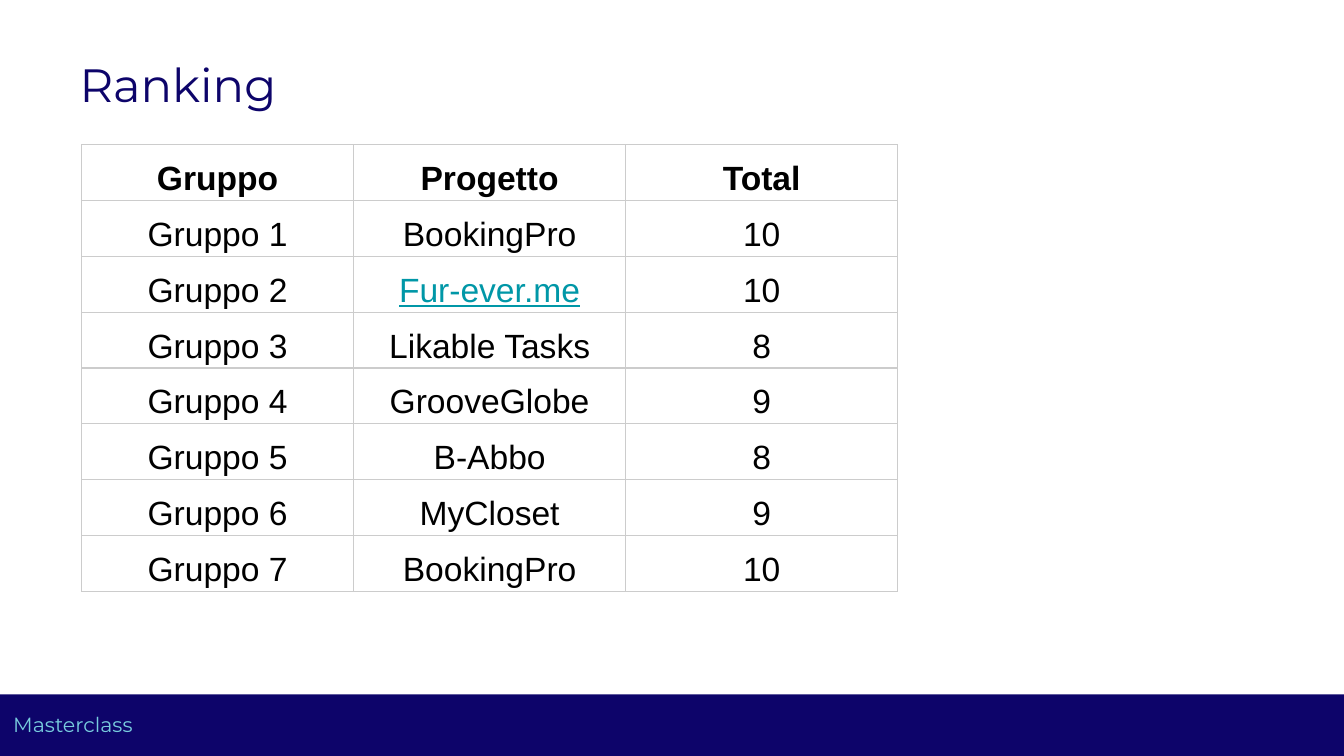
from lxml import etree
from pptx import Presentation
from pptx import util as u
from pptx.dml.color import RGBColor
from pptx.enum import shapes, text
from pptx.oxml.ns import qn

Pt = u.Pt
NAVY = RGBColor(0x0D, 0x04, 0x6A)
SKY = RGBColor(0x78, 0xCC, 0xDE)
TEAL = RGBColor(0x00, 0x97, 0xA7)
BLACK = RGBColor(0, 0, 0)
GREY = RGBColor(0xCC, 0xCC, 0xCC)

HEADER = ("Gruppo", "Progetto", "Total")
RANKING = [
    ("BookingPro", 10),
    ("Fur-ever.me", 10),
    ("Likable Tasks", 8),
    ("GrooveGlobe", 9),
    ("B-Abbo", 8),
    ("MyCloset", 9),
    ("BookingPro", 10),
]
LINK = "Fur-ever.me"


class Deck:
    display = "Montserrat"
    body = "Arial"
    inset = Pt(7.2)

    def __init__(self, width, height):
        self.prs = Presentation()
        self.prs.slide_width, self.prs.slide_height = Pt(width), Pt(height)
        self.s = self.prs.slides.add_slide(self.prs.slide_layouts[5])

    def run(self, p, words, font, size, color, bold=False, underline=False):
        r = p.add_run()
        r.text = words
        f = r.font
        f.name, f.size, f.bold, f.underline = font, Pt(size), bold, underline
        f.color.rgb = color

    def frame(self, sp):
        """Give a text shape its insets and top anchor; return its first paragraph."""
        tf = sp.text_frame
        tf.word_wrap = True
        tf.auto_size = text.MSO_AUTO_SIZE.NONE
        tf.vertical_anchor = text.MSO_ANCHOR.TOP
        tf.margin_left = tf.margin_right = self.inset
        tf.margin_top = tf.margin_bottom = self.inset
        p = tf.paragraphs[0]
        p.alignment = text.PP_ALIGN.LEFT
        return p

    def title(self, words, x, y, w, h):
        sp = self.s.shapes.title
        sp.left, sp.top, sp.width, sp.height = Pt(x), Pt(y), Pt(w), Pt(h)
        p = self.frame(sp)
        p.line_spacing = 1.15
        p.space_before, p.space_after = Pt(0), Pt(16)
        self.run(p, words, self.display, 25, NAVY)

    def bar(self, x, y, w, h):
        sp = self.s.shapes.add_shape(
            shapes.MSO_SHAPE.RECTANGLE, Pt(x), Pt(y), Pt(w), Pt(h))
        sp.shadow.inherit = False
        sp.fill.solid()
        sp.fill.fore_color.rgb = NAVY
        sp.line.fill.background()

    def label(self, words, x, y, w, h):
        sp = self.s.shapes.add_textbox(Pt(x), Pt(y), Pt(w), Pt(h))
        self.run(self.frame(sp), words, self.display, 11, SKY)

    def borders(self, cell):
        tc_pr = cell._tc.get_or_add_tcPr()
        for i, side in enumerate(("lnL", "lnR", "lnT", "lnB")):
            ln = etree.Element(qn("a:" + side), w=str(Pt(0.75)))
            fill = etree.SubElement(ln, qn("a:solidFill"))
            etree.SubElement(fill, qn("a:srgbClr"), val=str(GREY))
            tc_pr.insert(i, ln)

    def cell(self, cell, words, bold):
        cell.fill.background()
        self.borders(cell)
        cell.vertical_anchor = text.MSO_ANCHOR.BOTTOM
        cell.margin_left = cell.margin_right = Pt(2.25)
        cell.margin_top = cell.margin_bottom = Pt(1.5)
        p = cell.text_frame.paragraphs[0]
        p.alignment = text.PP_ALIGN.CENTER
        p.line_spacing = 1.15
        link = words == LINK
        self.run(p, words, self.body, 18, TEAL if link else BLACK, bold, link)

    def table(self, rows, x, y, col_w, row_h):
        n_rows, n_cols = len(rows), len(rows[0])
        table = self.s.shapes.add_table(
            n_rows, n_cols, Pt(x), Pt(y),
            Pt(col_w * n_cols), Pt(row_h * n_rows)).table
        table.horz_banding = False
        for column in table.columns:
            column.width = Pt(col_w)
        for i, values in enumerate(rows):
            table.rows[i].height = Pt(row_h)
            for j, value in enumerate(values):
                self.cell(table.cell(i, j), str(value), bold=i == 0)


def main():
    deck = Deck(720, 405)
    deck.bar(0, 372, 720, 33)
    deck.label("Masterclass", 0, 374.4, 720, 28)
    deck.title("Ranking", 35.5, 18, 124, 44.6)
    groups = [(f"Gruppo {n}", *entry) for n, entry in enumerate(RANKING, 1)]
    deck.table([HEADER, *groups], 43.7, 77.5, 145.75, 29.92)
    deck.prs.save("out.pptx")


if __name__ == "__main__":
    main()
